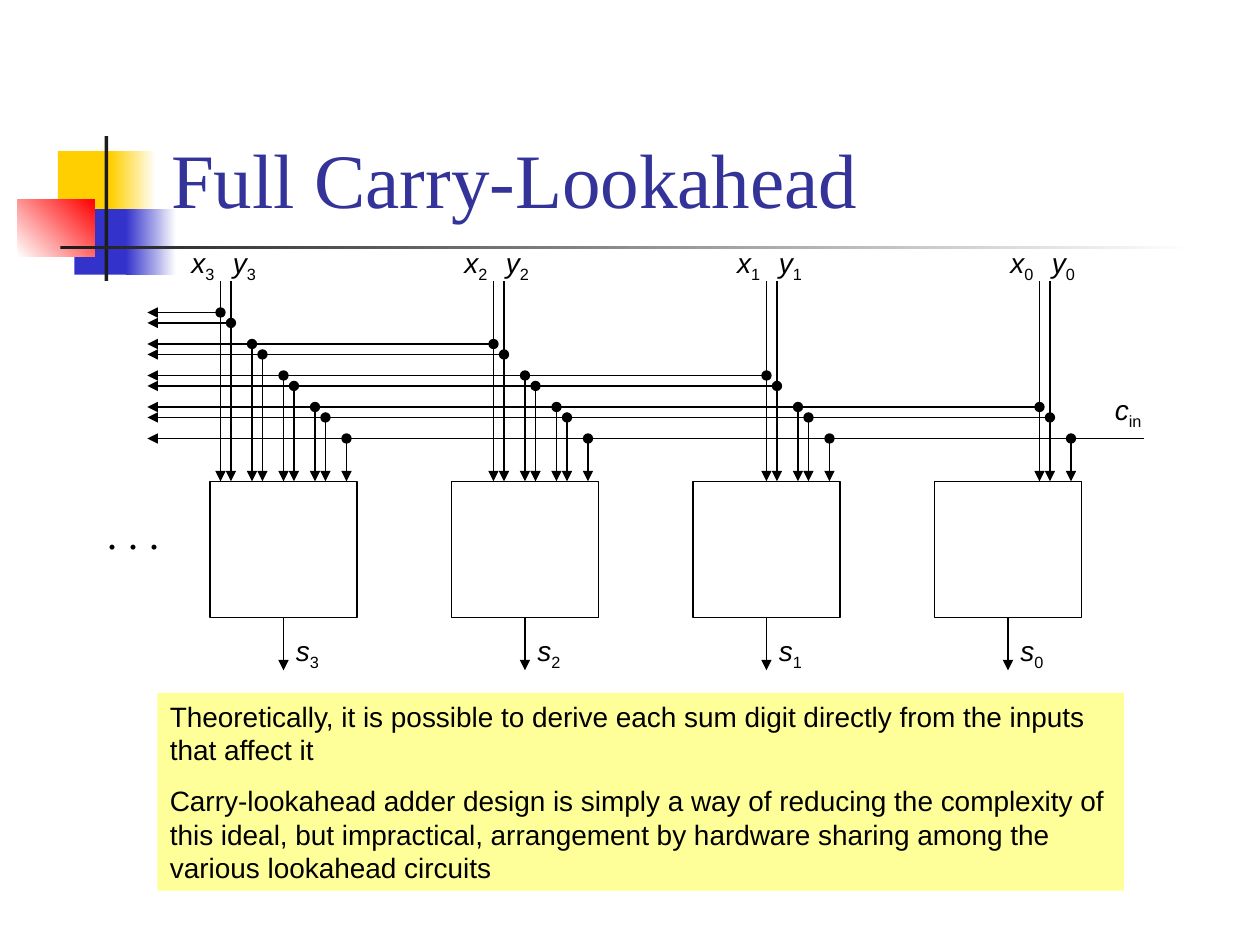
"""Build the full carry-lookahead slide."""
from dataclasses import dataclass
from typing import Optional

from pptx import Presentation
from pptx.dml.color import RGBColor
from pptx.enum.shapes import MSO_CONNECTOR, MSO_SHAPE
from pptx.enum.text import MSO_ANCHOR, MSO_AUTO_SIZE, PP_ALIGN
from pptx.oxml.ns import qn
from pptx.oxml.xmlchemy import OxmlElement
from pptx.util import Inches, Pt

BLACK, WHITE = "000000", "FFFFFF"
DIGITS = range(4)
BOX_STEP = 23 / 12
INPUT_STEP = 26 / 12
WIRE_GAP = 1 / 12
BOX_WIDTH, BOX_HEIGHT = 7 / 6, 1.08
BOX_TOP, INPUT_TOP, BUS_LEFT = 3.82, 2.23, 1.17
CARRY_LEVEL = 3.48
NOTES = (
    "Theoretically, it is possible to derive each sum digit directly from the inputs that affect it",
    "Carry-lookahead adder design is simply a way of reducing the complexity of this ideal, "
    "but impractical, arrangement by hardware sharing among the various lookahead circuits",
)


@dataclass(frozen=True)
class Block:
    left: float
    top: float
    width: float
    height: float
    fill: str
    fade: Optional[str] = None
    angle: float = 0
    outline: Optional[str] = None


@dataclass(frozen=True)
class Wire:
    start: tuple[float, float]
    end: tuple[float, float]
    head: Optional[str] = None
    tail: Optional[str] = None


@dataclass(frozen=True)
class Label:
    name: str
    subscript: str
    left: float
    top: float
    width: float = 0.4


DECORATION = (
    Block(0.46, 1.2, 0.48, 0.52, "FFCF01"),
    Block(0.88, 1.2, 0.36, 0.52, "FFCF01", fade=WHITE),
    Block(0.59, 1.66, 0.46, 0.52, "3333CC"),
    Block(1, 1.66, 0.4, 0.52, "3333CC", fade=WHITE),
    Block(0.14, 1.58, 0.61, 0.46, WHITE, fade="FF0000", angle=45),
    Block(0.83, 1.08, 0.03, 1.15, "1C1C1C"),
    Block(0.48, 1.95, 9, 0.03, "1C1C1C", fade=WHITE),
)


def color(value: str) -> RGBColor:
    return RGBColor.from_string(value)


def draw_block(page, block: Block):
    shape = page.shapes.add_shape(
        MSO_SHAPE.RECTANGLE, Inches(block.left), Inches(block.top), Inches(block.width), Inches(block.height)
    )
    shape.shadow.inherit = False
    if block.fade:
        shape.fill.gradient()
        shape.fill.gradient_angle = block.angle
        for stop, value, position in zip(shape.fill.gradient_stops, (block.fill, block.fade), (0, 1)):
            stop.color.rgb = color(value)
            stop.position = position
    else:
        shape.fill.solid()
        shape.fill.fore_color.rgb = color(block.fill)
    if block.outline:
        shape.line.color.rgb = color(block.outline)
        shape.line.width = Pt(0.75)
    else:
        shape.line.fill.background()
    return shape


def draw_wire(page, wire: Wire):
    points = [Inches(value) for value in (*wire.start, *wire.end)]
    connector = page.shapes.add_connector(MSO_CONNECTOR.STRAIGHT, *points)
    connector.line.color.rgb = color(BLACK)
    connector.line.width = Pt(0.75)
    properties = connector._element.spPr
    outline = properties.find(qn("a:ln"))
    for tag, kind in (("a:headEnd", wire.head), ("a:tailEnd", wire.tail)):
        if kind:
            ending = OxmlElement(tag)
            ending.set("type", kind)
            outline.append(ending)
    properties.append(OxmlElement("a:effectLst"))
    return connector


def set_font(para, size: float, name: str = "Arial", value: str = BLACK) -> None:
    para.alignment = PP_ALIGN.LEFT
    para.font.size = Pt(size)
    para.font.name = name
    para.font.color.rgb = color(value)


def add_text_frame(page, left: float, top: float, width: float, height: float, wrap: bool = False):
    box = page.shapes.add_textbox(Inches(left), Inches(top), Inches(width), Inches(height))
    box.text_frame.word_wrap = wrap
    return box.text_frame


def draw_label(page, label: Label) -> None:
    frame = add_text_frame(page, label.left, label.top, label.width, 0.37)
    frame.auto_size = MSO_AUTO_SIZE.SHAPE_TO_FIT_TEXT
    para = frame.paragraphs[0]
    set_font(para, 16)
    letter, index = para.add_run(), para.add_run()
    letter.text, index.text = label.name, label.subscript
    letter.font.italic = True
    index._r.get_or_add_rPr().set("baseline", "-25000")


def draw_line_of_text(page, text: str, area: tuple, size: float, value: str, wrap: bool) -> None:
    frame = add_text_frame(page, *area, wrap=wrap)
    frame.vertical_anchor = MSO_ANCHOR.BOTTOM if wrap else MSO_ANCHOR.TOP
    frame.paragraphs[0].text = text
    set_font(frame.paragraphs[0], size, "Times New Roman", value)


def draw_notes(page) -> None:
    frame = draw_block(page, Block(1.25, 5.5, 7.67, 1.57, "FFFF99")).text_frame
    frame.word_wrap = True
    frame.vertical_anchor = MSO_ANCHOR.TOP
    for number, text in enumerate(NOTES):
        para = frame.add_paragraph() if number else frame.paragraphs[0]
        para.text = text
        set_font(para, 16)
        if number:
            para.space_before = Pt(10)


def draw_drop(page, boxes: list, digit: int, position: float, level: float) -> None:
    drop = draw_wire(page, Wire((position, level), (position, BOX_TOP), "oval", "triangle"))
    center = 8 - BOX_STEP * digit
    if abs(position - center) < 0.01:
        drop.end_connect(boxes[digit], 0)


def draw_input(page, boxes: list, digit: int, order: int) -> None:
    position = 8.25 - INPUT_STEP * digit + WIRE_GAP * order
    level = 3.23 - 0.25 * digit + WIRE_GAP * order
    draw_wire(page, Wire((BUS_LEFT, level), (position, level), head="triangle"))
    draw_wire(page, Wire((position, level), (position, INPUT_TOP)))
    for target in DIGITS[digit:]:
        draw_drop(page, boxes, target, position - BOX_STEP * (target - digit), level)
    draw_label(page, Label("xy"[order], str(digit), 7.92 + 0.33 * order - INPUT_STEP * digit, 1.9))


def draw_adder(page) -> None:
    boxes = [
        draw_block(page, Block(8 - BOX_WIDTH / 2 - BOX_STEP * digit, BOX_TOP, BOX_WIDTH, BOX_HEIGHT, WHITE, outline=BLACK))
        for digit in DIGITS
    ]
    draw_wire(page, Wire((BUS_LEFT, CARRY_LEVEL), (9.08, CARRY_LEVEL), head="triangle"))
    for digit in DIGITS:
        draw_drop(page, boxes, digit, 8.5 - BOX_STEP * digit, CARRY_LEVEL)
        for order in range(2):
            draw_input(page, boxes, digit, order)
        center = 8 - BOX_STEP * digit
        output = draw_wire(page, Wire((center, BOX_TOP + BOX_HEIGHT), (center, 5.32), tail="triangle"))
        output.begin_connect(boxes[digit], 2)
        draw_label(page, Label("s", str(digit), center, 4.98))
    draw_label(page, Label("c", "in", 8.75, 3.07, 0.43))


def main() -> None:
    deck = Presentation()
    deck.slide_width, deck.slide_height = Inches(10), Inches(7.5)
    page = deck.slides.add_slide(deck.slide_layouts[6])
    for block in DECORATION:
        draw_block(page, block)
    draw_line_of_text(page, "Full Carry-Lookahead", (1.26, 0.23, 8.52, 1.6), 44, "333399", True)
    draw_notes(page)
    draw_adder(page)
    draw_line_of_text(page, ". . .", (0.75, 3.98, 0.62, 0.5), 24, BLACK, False)
    deck.save("out.pptx")


if __name__ == "__main__":
    main()
